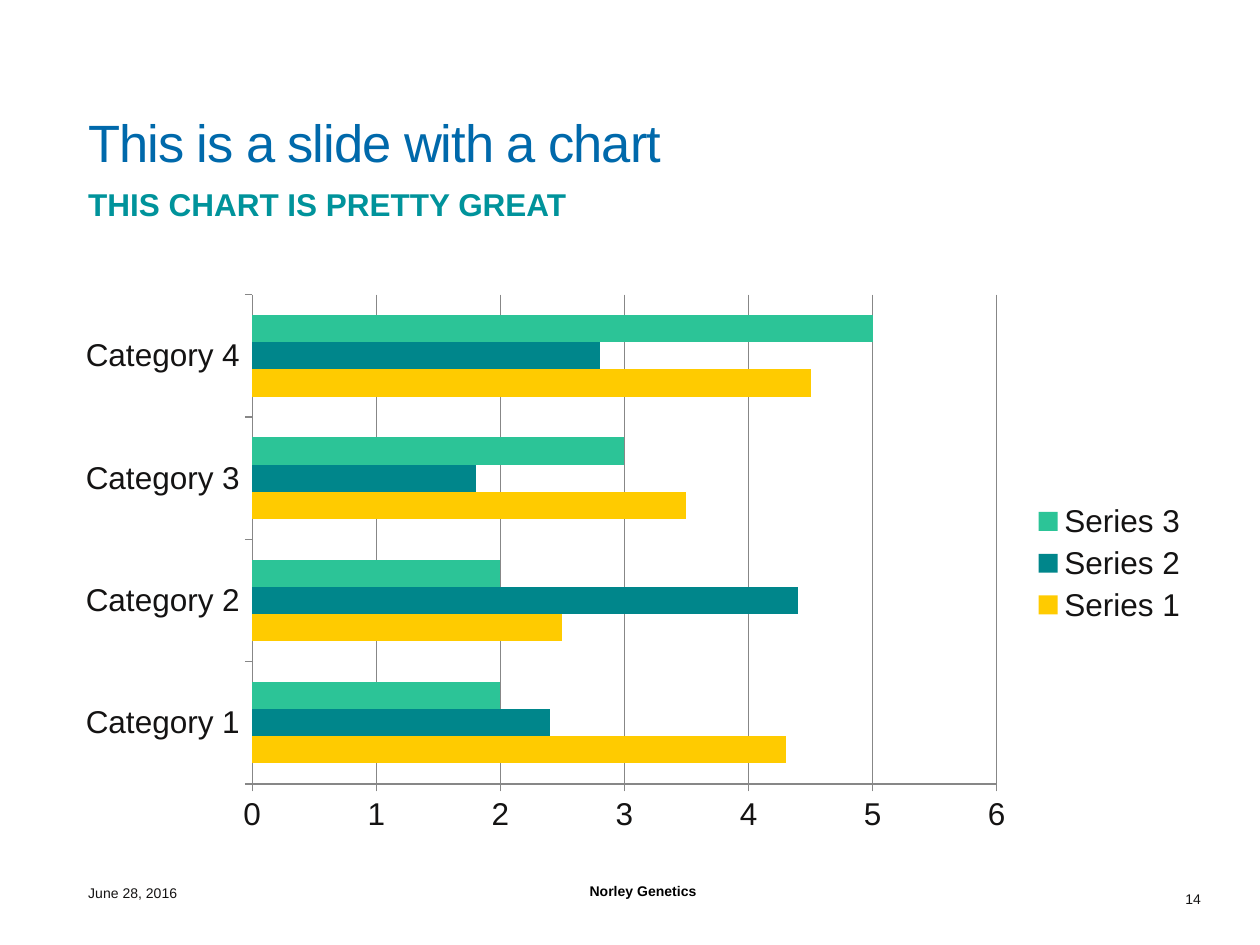
import pptx
import pptx.chart.data
import pptx.dml.color
import pptx.enum.chart
import pptx.enum.text
import pptx.util

Pt = pptx.util.Pt
RGBColor = pptx.dml.color.RGBColor
Anchor = pptx.enum.text.MSO_ANCHOR
Align = pptx.enum.text.PP_ALIGN

BLUE = RGBColor(0x00, 0x69, 0xAB)
TEAL = RGBColor(0x00, 0x93, 0x9B)
INK = RGBColor(0x14, 0x13, 0x13)
BLACK = RGBColor(0x00, 0x00, 0x00)
GREY = RGBColor(0x87, 0x87, 0x87)
BAR_YELLOW = RGBColor(0xFF, 0xCB, 0x00)
BAR_TEAL = RGBColor(0x00, 0x86, 0x8B)
BAR_GREEN = RGBColor(0x2C, 0xC4, 0x97)
FONT = "Arial"


def add_text(page, text, left, top, width, height, size, color, bold=False,
             align=Align.LEFT, anchor=Anchor.TOP, margins=(7.2, 3.6, 7.2, 3.6),
             line_spacing=None, tracking=None):
    """Add a one-paragraph text box; margins run left, top, right, bottom."""
    box = page.shapes.add_textbox(Pt(left), Pt(top), Pt(width), Pt(height))
    frame = box.text_frame
    frame.word_wrap = True
    frame.vertical_anchor = anchor
    frame.margin_left, frame.margin_top, frame.margin_right, frame.margin_bottom = map(Pt, margins)
    para = frame.paragraphs[0]
    para.alignment = align
    if line_spacing:
        para.line_spacing = line_spacing
    span = para.add_run()
    span.text = text
    span.font.name = FONT
    span.font.size = Pt(size)
    span.font.bold = bold
    span.font.color.rgb = color
    if tracking:
        span.font._element.set("spc", str(round(tracking * 100)))


deck = pptx.Presentation()
deck.slide_width, deck.slide_height = Pt(720), Pt(540)
page = deck.slides.add_slide(deck.slide_layouts[6])

# Heading and footer
INDENTED = (14.4, 3.6, 7.2, 3.6)
add_text(page, "This is a slide with a chart", 36, 5, 389.5, 97.2, 30, BLUE,
         anchor=Anchor.BOTTOM, margins=INDENTED, tracking=-0.6)
add_text(page, "THIS CHART IS PRETTY GREAT", 36, 102.2, 320, 28.8, 18, TEAL,
         bold=True, margins=INDENTED)
add_text(page, "June 28, 2016", 36, 498.2, 188.6, 20.2, 8, INK,
         anchor=Anchor.BOTTOM, margins=INDENTED)
add_text(page, "Norley Genetics", 329.8, 501.8, 272.2, 15.8, 8, BLACK,
         bold=True, line_spacing=0.9)
add_text(page, "14", 596.2, 498.2, 90, 20.2, 8, INK, align=Align.RIGHT,
         anchor=Anchor.BOTTOM, margins=(0, 0, 0, 0))

# Bar chart
series_rows = [
    ("Series 1", (4.3, 2.5, 3.5, 4.5), BAR_YELLOW),
    ("Series 2", (2.4, 4.4, 1.8, 2.8), BAR_TEAL),
    ("Series 3", (2, 2, 3, 5), BAR_GREEN),
]
data = pptx.chart.data.CategoryChartData()
data.categories = [f"Category {number}" for number in range(1, 5)]
for name, values, color in series_rows:
    data.add_series(name, values)

chart = page.shapes.add_chart(
    pptx.enum.chart.XL_CHART_TYPE.BAR_CLUSTERED,
    Pt(36), Pt(162), Pt(650.2), Pt(319.7), data).chart
chart.has_title = False
chart.font.name = FONT
chart.font.size = Pt(18)
chart.font.color.rgb = INK
chart.has_legend = True
chart.legend.position = pptx.enum.chart.XL_LEGEND_POSITION.RIGHT
chart.legend.include_in_layout = False

plot = chart.plots[0]
plot.gap_width = 150
plot.vary_by_categories = False
for series, (name, values, color) in zip(plot.series, series_rows):
    series.format.fill.solid()
    series.format.fill.fore_color.rgb = color

value_axis = chart.value_axis
value_axis.minimum_scale, value_axis.maximum_scale = 0, 6
value_axis.major_unit = 1
value_axis.has_major_gridlines = True
chart.category_axis.has_major_gridlines = False
for axis in (chart.category_axis, value_axis):
    axis.major_tick_mark = pptx.enum.chart.XL_TICK_MARK.OUTSIDE
    axis.minor_tick_mark = pptx.enum.chart.XL_TICK_MARK.NONE
for line in (chart.category_axis.format.line, value_axis.format.line,
             value_axis.major_gridlines.format.line):
    line.color.rgb = GREY
    line.width = Pt(0.75)

deck.save("out.pptx")
